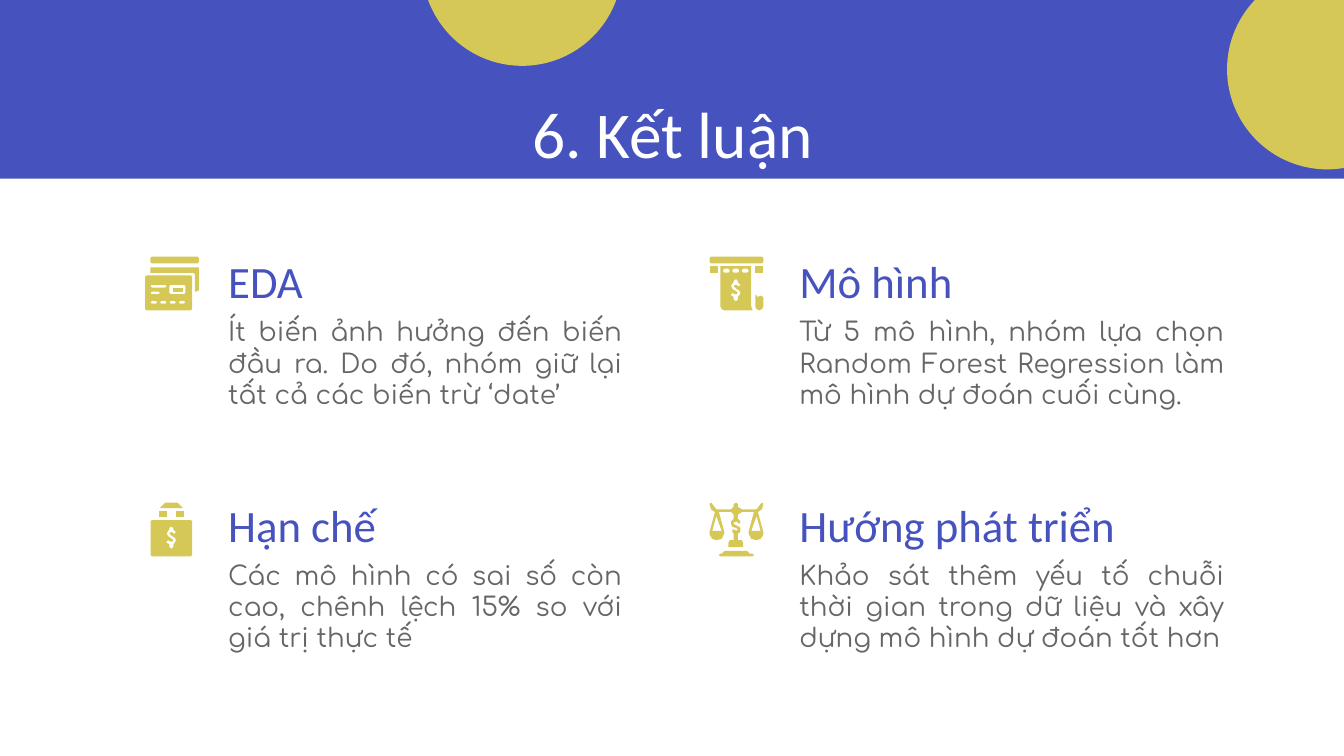
from pptx import Presentation
from pptx.dml.color import RGBColor
from pptx.enum.shapes import MSO_SHAPE
from pptx.enum.text import MSO_ANCHOR, MSO_AUTO_SIZE, PP_ALIGN
from pptx.util import Pt

PX = 9144
WIDE = 1000 * PX
HIGH = WIDE * 9 // 16
BLUE, GOLD, GRAY, WHITE = "4652BE", "D5C857", "666666", "FFFFFF"
HEAD, BODY = "Calibri", "Comfortaa"
RECT, OVAL = MSO_SHAPE.RECTANGLE, MSO_SHAPE.OVAL
TOP, LOW = MSO_ANCHOR.TOP, MSO_ANCHOR.BOTTOM
LEFT, MID, JUST = PP_ALIGN.LEFT, PP_ALIGN.CENTER, PP_ALIGN.JUSTIFY
FIXED = MSO_AUTO_SIZE.NONE

SIGN = [(0, 0), (1, 1), (1, 2), (3, 4), (2, 5), (1, 5), (0, 4), (-1, 4),
        (-2, 5), (-1, 6), (0, 7), (2, 8), (3, 10), (2, 12), (1, 13), (1, 15),
        (0, 16), (-1, 16), (-2, 15), (-2, 13), (-4, 12), (-4, 11), (-3, 10),
        (-1, 11), (0, 11), (1, 10), (0, 9), (-3, 7), (-4, 5), (-3, 3),
        (-2, 2), (-2, 1), (-1, 0)]
ARM = [(-4, 5), (-15, 5), (-18, 1), (-19, 0), (-20, 1), (-19, 5), (-16, 7),
       (-20, 22), (-20, 24), (-18, 27), (-15, 28), (-11, 27), (-9, 23),
       (-9, 22), (-13, 7), (-4, 7)]
POST = [(-2, 9), (-2, 12), (-4, 14), (-4, 16), (-3, 18), (0, 19), (1, 20),
        (0, 21), (-2, 20), (-3, 20), (-3, 22), (-2, 23), (-2, 28), (-5, 28),
        (-6, 30), (-6, 33), (5, 33), (5, 30), (4, 28), (1, 28), (1, 23),
        (3, 22), (3, 19), (2, 18), (0, 17), (-2, 16), (-2, 15), (0, 14),
        (1, 15), (2, 16), (3, 14), (1, 12), (1, 9)]
KNOB = [(1, 3), (1, 1), (0, 0), (-2, 1), (-2, 3)]
GAP = [(-15, 10), (-11, 21), (-18, 21)]


def color(code):
    return RGBColor.from_string(code)


def paint(shape, code):
    shape.shadow.inherit = False
    shape.fill.solid()
    shape.fill.fore_color.rgb = color(code)
    shape.line.fill.background()


def block(slide, kind, box, code):
    paint(slide.shapes.add_shape(kind, *[n * PX for n in box]), code)


def write(shape, text, size, font, code, align, anchor):
    frame = shape.text_frame
    frame.word_wrap = True
    frame.auto_size = FIXED
    frame.vertical_anchor = anchor
    frame.margin_left = frame.margin_right = 10 * PX
    frame.margin_top = frame.margin_bottom = 10 * PX
    para = frame.paragraphs[0]
    para.alignment = align
    run = para.add_run()
    run.text = text
    run.font.size = Pt(size)
    run.font.name = font
    run.font.color.rgb = color(code)


def label(slide, box, *style):
    write(slide.shapes.add_textbox(*[n * PX for n in box]), *style)


def quad(x, y, w, h):
    return [(x, y), (x + w, y), (x + w, y + h), (x, y + h)]


def pill(x, y, w, h):
    return [(x + 1, y), (x + w - 1, y), (x + w, y + 1), (x + w, y + h - 1),
            (x + w - 1, y + h), (x + 1, y + h), (x, y + h - 1), (x, y + 1)]


def shift(loop, x, y):
    return [(a + x, b + y) for a, b in loop]


def flip(loop):
    return [(-x, y) for x, y in reversed(loop)]


def icon(slide, x, y, parts):
    group = slide.shapes.add_group_shape()
    for loops in parts:
        pen = None
        for loop in loops:
            start, *rest = shift(loop, x, y)
            if pen is None:
                pen = group.shapes.build_freeform(*start, scale=PX)
            else:
                pen.move_to(*start)
            pen.add_line_segments(rest, close=True)
        paint(pen.convert_to_shape(), GOLD)


def cards():
    dots = [pill(x, 33, 5, 2) for x in range(4, 26, 7)]
    face = [pill(0, 14, 35, 26), pill(4, 21, 12, 2), pill(4, 26, 7, 2),
            pill(18, 21, 12, 7)]
    back = [(4, 8), (40, 8), (40, 25), (38, 26), (37, 26), (37, 13),
            (36, 12), (4, 12)]
    return [[pill(4, 0, 36, 5)], [back], [quad(21, 23, 7, 3)], face + dots]


def teller():
    dots = [pill(x, 9, 5, 3) for x in (10, 17, 24)]
    bill = [(8, 7), (31, 7), (31, 37), (32, 40), (11, 40), (9, 39), (8, 37)]
    curl = [(34, 28), (36, 30), (38, 29), (40, 30), (40, 37), (39, 39),
            (37, 40), (35, 39), (34, 37)]
    return [[quad(0, 7, 6, 5)], [pill(0, 0, 40, 5)], [quad(34, 7, 6, 5)],
            [bill, shift(SIGN, 20, 17)] + dots, [curl]]


def purse():
    lid = [(0, 4), (3, 1), (4, 0), (13, 0), (14, 1), (17, 4)]
    return [[shift(lid, 7, 0)],
            [pill(0, 13, 31, 27), shift(SIGN, 16, 18)],
            [quad(6, 6, 6, 5)], [quad(19, 6, 6, 5)]]


def scales():
    beam = ARM + POST + flip(ARM) + KNOB
    foot = [(-9, 36), (8, 36), (10, 38), (12, 38), (13, 39), (12, 40),
            (-12, 40), (-13, 39), (-12, 38), (-11, 38)]
    return [[beam, GAP, flip(GAP)], [foot]]


def main():
    deck = Presentation()
    deck.slide_width, deck.slide_height = WIDE, HIGH
    slide = deck.slides.add_slide(deck.slide_layouts[5])
    block(slide, RECT, (0, 0, 1000, 133), BLUE)
    for x, y in ((314, -100), (913, -23)):
        block(slide, OVAL, (x, y, 149, 149), GOLD)

    title = slide.shapes.title
    title.left, title.top = 79 * PX, 59 * PX
    title.width, title.height = 843 * PX, 63 * PX
    write(title, "6. Kết luận", 35, HEAD, WHITE, MID, TOP)
    tree = title.element.getparent()
    tree.append(title.element)

    items = [
        ("EDA", "Ít biến ảnh hưởng đến biến đầu ra. Do đó, nhóm giữ lại "
         "tất cả các biến trừ ‘date’", 108, cards()),
        ("Mô hình", "Từ 5 mô hình, nhóm lựa chọn Random Forest Regression "
         "làm mô hình dự đoán cuối cùng.", 528, teller()),
        ("Hạn chế", "Các mô hình có sai số còn cao, chênh lệch 15% so với "
         "giá trị thực tế", 112, purse()),
        ("Hướng phát triển", "Khảo sát thêm yếu tố chuỗi thời gian trong "
         "dữ liệu và xây dựng mô hình dự đoán tốt hơn", 548, scales()),
    ]
    for i, (head, body, left, parts) in enumerate(items):
        row, col = divmod(i, 2)
        x, y = 160 + 425 * col, 200 + 181 * row
        wide = 313 + 23 * col
        label(slide, (x, y + 25, wide, 73), body, 14, BODY, GRAY, JUST, TOP)
        label(slide, (x, y, wide, 39), head, 24, HEAD, BLUE, LEFT, LOW)
        icon(slide, left, 191 + 183 * row, parts)
    deck.save("out.pptx")


if __name__ == "__main__":
    main()
